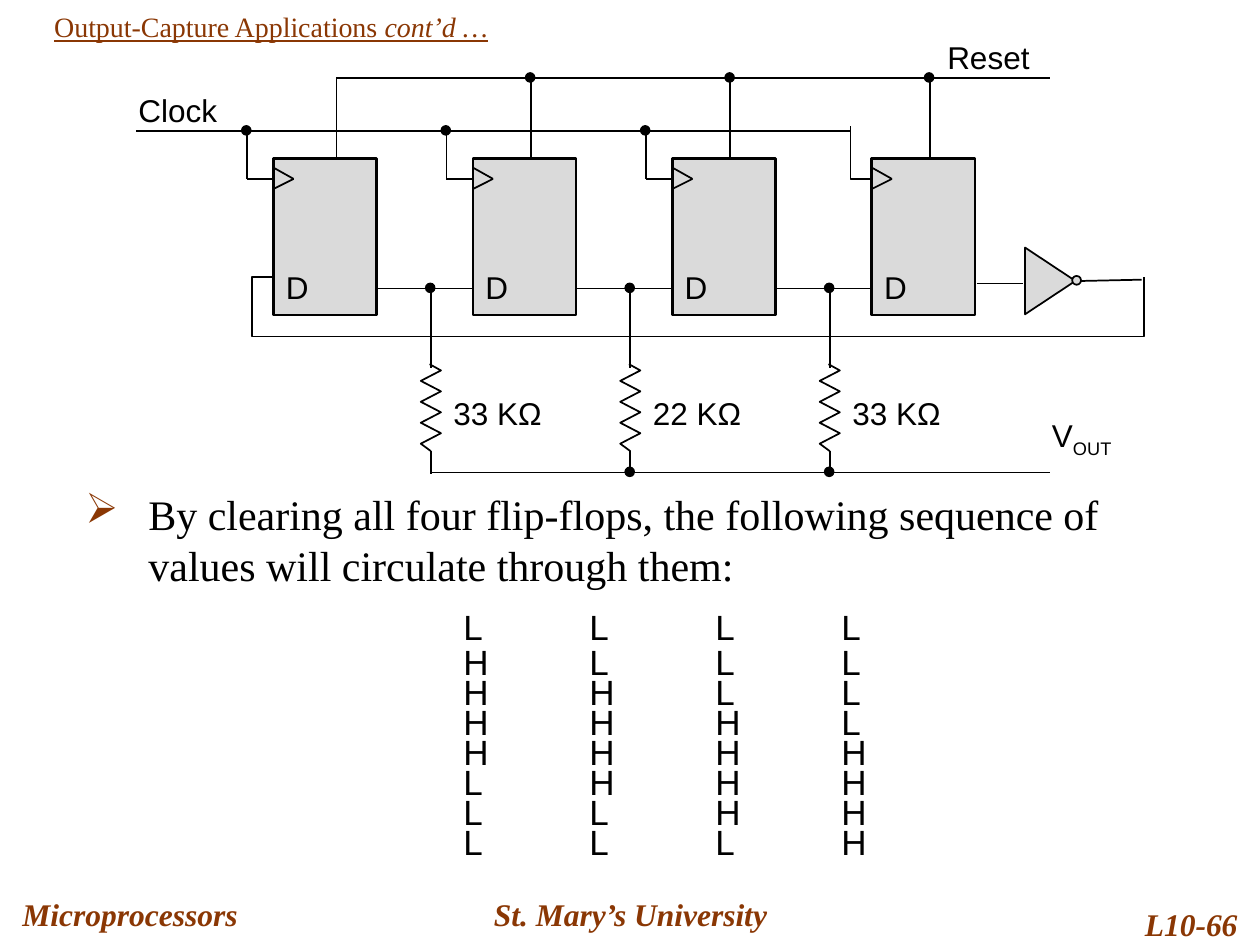
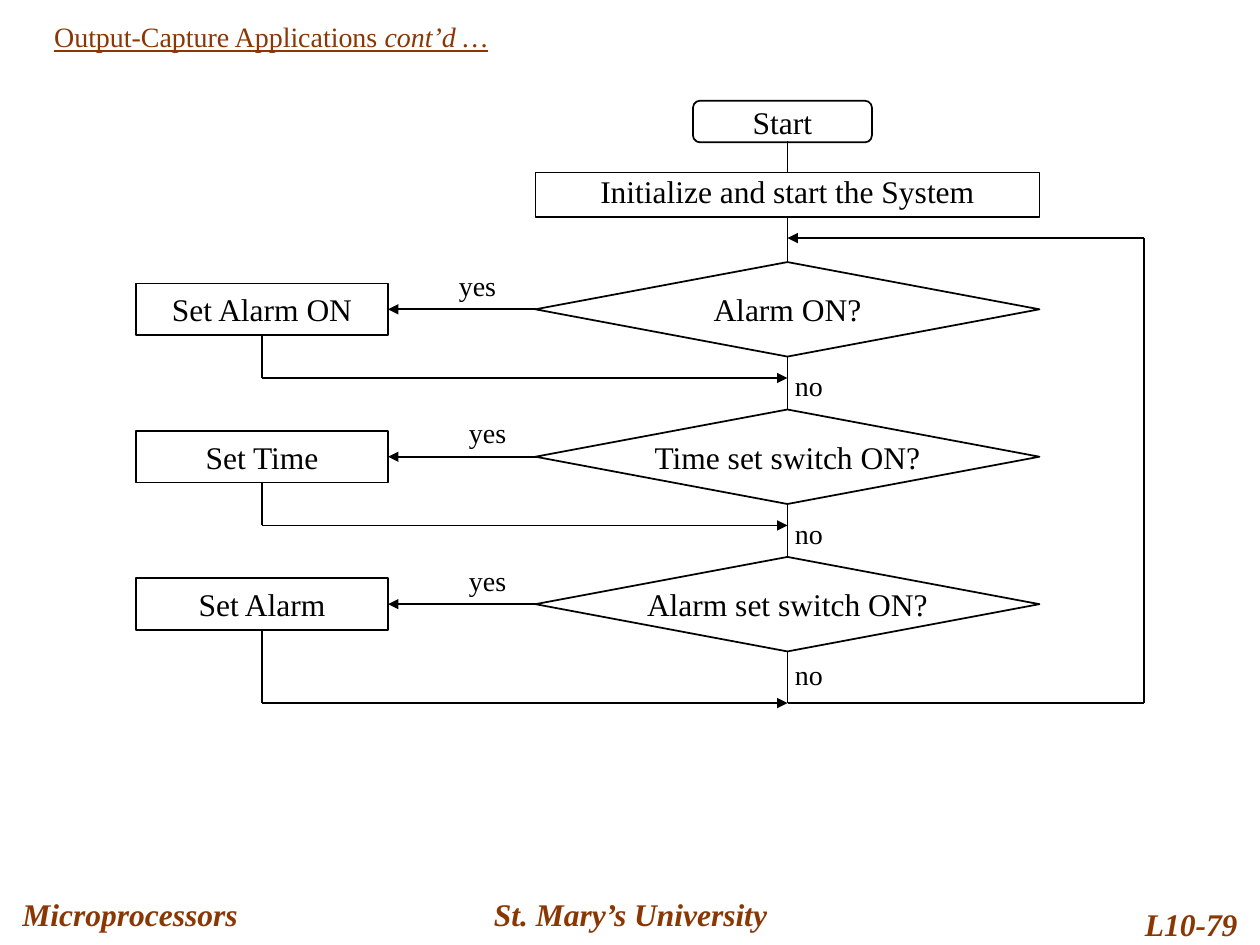
"""Builds two lecture slides: a ring-counter circuit and an alarm-clock flowchart."""
from dataclasses import dataclass

from lxml.etree import SubElement
from pptx import Presentation
from pptx.dml.color import RGBColor
from pptx.enum.shapes import MSO_CONNECTOR, MSO_SHAPE
from pptx.enum.text import MSO_ANCHOR, MSO_AUTO_SIZE, PP_ALIGN
from pptx.oxml.ns import qn
from pptx.util import Inches, Pt

TITLE = [("Output-Capture Applications ", {}), ("cont’d …", {"italic": True})]
FOOTERS = [
    ("Microprocessors", (0.08, 7, 2.42, 0.5), PP_ALIGN.LEFT),
    ("St. Mary’s University", (3.42, 7, 3.17, 0.5), PP_ALIGN.CENTER),
]
PAGE_BOX = (8.67, 7.08, 1.25, 0.5)

RESISTORS = ["33 KΩ", "22 KΩ", "33 KΩ"]
SIGNALS = [
    ("Reset", (7.42, 0.25, 1, 0.4)),
    ("Clock", (1, 0.67, 1, 0.4)),
    ([("V", {}), ("OUT", {"baseline": -25})], (8.25, 3.25, 0.75, 0.4)),
]
EXPLANATION = ("By clearing all four flip-flops, the following sequence of "
               "values will circulate through them:")
SEQUENCE = ["LLLL", "HLLL", "HHLL", "HHHL", "HHHH", "LHHH", "LLHH", "LLLH"]

STEPS = [
    {"ask": "Alarm ON?", "do": "Set Alarm ON", "yes_x": 3.5, "no_y": 2.88, "merge_y": 3},
    {"ask": "Time set switch ON?", "do": "Set Time", "yes_x": 3.58, "no_y": 4.05, "merge_y": 4.17},
    {"ask": "Alarm set switch ON?", "do": "Set Alarm", "yes_x": 3.58, "no_y": 5.17, "merge_y": 5.58},
]


@dataclass(frozen=True)
class Theme:
    """Colours, fonts and type sizes."""
    accent: str = "8A3704"
    ink: str = "000000"
    gate: str = "DADADA"
    serif: str = "Times New Roman"
    sans: str = "Arial"
    small: int = 16
    label: int = 18
    values: int = 20
    body: int = 24
    line: float = 1
    heavy: float = 1.5


T = Theme()


def rgb(color):
    """Turn a hex string into a colour."""
    return RGBColor.from_string(color)


def inches(values):
    """Turn a sequence of numbers into lengths."""
    return [Inches(v) for v in values]


def write(p, text, font=T.serif, size=T.label, color=T.ink, bold=False, italic=False,
          underline=False, align=PP_ALIGN.LEFT, spacing=None, before=0):
    """Fill a paragraph with a string or with (string, overrides) runs."""
    p.alignment, p.space_before = align, Pt(before)
    if spacing:
        p.line_spacing = spacing
    for part, extra in [(text, {})] if isinstance(text, str) else text:
        r = p.add_run()
        r.text = part
        f = r.font
        f.name, f.size, f.color.rgb = font, Pt(size), rgb(color)
        f.bold, f.italic, f.underline = bold, extra.get("italic", italic), underline
        if "baseline" in extra:
            r._r.get_or_add_rPr().set("baseline", str(extra["baseline"] * 1000))


def label(s, box, text, anchor=MSO_ANCHOR.TOP, **fmt):
    """Add a one-paragraph text box."""
    tf = s.shapes.add_textbox(*inches(box)).text_frame
    tf.word_wrap, tf.vertical_anchor = True, anchor
    write(tf.paragraphs[0], text, **fmt)


def outline(sp, fill=None, width=T.line):
    """Give a shape its fill and black outline."""
    sp.shadow.inherit = False
    if fill:
        sp.fill.solid()
        sp.fill.fore_color.rgb = rgb(fill)
    else:
        sp.fill.background()
    sp.line.color.rgb, sp.line.width = rgb(T.ink), Pt(width)
    return sp


def shape(s, kind, box, text="", fill=None, width=T.line, anchor=MSO_ANCHOR.MIDDLE, **fmt):
    """Add a preset shape, with centred text if given."""
    sp = outline(s.shapes.add_shape(kind, *inches(box)), fill, width)
    if text:
        tf = sp.text_frame
        tf.word_wrap, tf.vertical_anchor = False, anchor
        write(tf.paragraphs[0], text, align=PP_ALIGN.CENTER, **fmt)
    return sp


def dot(s, x, y, fill=T.ink):
    """Add a small circle centred on a point."""
    shape(s, MSO_SHAPE.OVAL, (x - 0.04, y - 0.04, 0.07, 0.07), fill=fill)


def path_of(s, points):
    """Add an open outline through points."""
    first, *rest = [tuple(inches(pt)) for pt in points]
    fb = s.shapes.build_freeform(*first)
    fb.add_line_segments(rest, close=False)
    outline(fb.convert_to_shape())


def line(s, a, b, begin=None, end=None, arrow=False):
    """Add a straight connector, joined to (shape, site) pairs if given."""
    c = s.shapes.add_connector(MSO_CONNECTOR.STRAIGHT, *inches((*a, *b)))
    if begin:
        c.begin_connect(*begin)
    if end:
        c.end_connect(*end)
    c.line.color.rgb, c.line.width = rgb(T.ink), Pt(T.line)
    if arrow:
        SubElement(c.line._get_or_add_ln(), qn("a:tailEnd"), type="triangle")
    SubElement(c._element.spPr, qn("a:effectLst"))


def new_slide(prs, page, title_y):
    """Add a slide with its title and footers."""
    s = prs.slides.add_slide(prs.slide_layouts[5])
    sp = s.shapes.title
    sp.left, sp.top, sp.width, sp.height = inches((0.33, title_y, 8.5, 0.42))
    tf = sp.text_frame
    tf.auto_size, tf.vertical_anchor = MSO_AUTO_SIZE.NONE, MSO_ANCHOR.MIDDLE
    write(tf.paragraphs[0], TITLE, size=T.small, color=T.accent, underline=True)
    for text, box, align in FOOTERS + [(page, PAGE_BOX, PP_ALIGN.RIGHT)]:
        label(s, box, text, anchor=MSO_ANCHOR.MIDDLE, color=T.accent, bold=True,
              italic=True, align=align)
    return s


def flip_flop(s, x):
    """Draw a D flip-flop with its clock mark."""
    shape(s, MSO_SHAPE.RECTANGLE, (x, 1.26, 0.82, 1.24), fill=T.gate, width=T.heavy)
    line(s, (x, 1.33), (x + 0.16, 1.42))
    line(s, (x + 0.16, 1.42), (x, 1.5))
    label(s, (x, 2.08, 0.42, 0.4), "D", font=T.sans)


def resistor(s, x, value):
    """Draw a resistor from the data line down to the output line."""
    line(s, (x, 2.29), (x, 2.92))
    zigzag = [(x + (0.08 if i % 2 == 0 else -0.08), 2.94 + 0.083 * i) for i in range(8)]
    path_of(s, [(x - 0.01, 2.89), *zigzag, (x, 3.58)])
    line(s, (x, 3.58), (x, 3.76))
    label(s, (x + 0.08, 3.08, 0.92, 0.4), value, font=T.sans)


def explanation(s):
    """Add the bulleted sentence and the tabbed value sequence."""
    tf = s.shapes.add_textbox(*inches((0.58, 3.83, 8.83, 3.27))).text_frame
    tf.word_wrap = True
    p = tf.paragraphs[0]
    pPr = p._p.get_or_add_pPr()
    pPr.set("marL", str(Inches(0.5)))
    pPr.set("indent", str(-Inches(0.5)))
    SubElement(SubElement(pPr, qn("a:buClr")), qn("a:srgbClr"), val=T.accent)
    SubElement(pPr, qn("a:buChar"), char="➢")
    write(p, EXPLANATION, size=T.body)
    gaps = {0: 16, 1: 3}
    for i, row in enumerate(SEQUENCE):
        p = tf.add_paragraph()
        tabs = SubElement(p._p.get_or_add_pPr(), qn("a:tabLst"))
        for stop in range(3, 7):
            SubElement(tabs, qn("a:tab"), pos=str(Inches(stop)), algn="l")
        write(p, "".join("\t" + v for v in row), font=T.sans, size=T.values,
              spacing=Pt(17.1), before=gaps.get(i, 0))


def circuit_slide(prs):
    """Build the ring-counter slide."""
    s = new_slide(prs, "L10-66", 0)
    pitch, reset_y, clock_y, data_y, out_y = 1.583, 0.62, 1.04, 2.29, 3.75
    ff_x = [2.17 + pitch * i for i in range(4)]
    for x in ff_x:
        flip_flop(s, x)
    line(s, (2.67, reset_y), (8.33, reset_y))
    line(s, (2.67, reset_y), (2.67, 1.25))
    line(s, (1.08, clock_y), (6.75, clock_y))
    path_of(s, [(6.92, 1.42), (6.75, 1.42), (6.75, 1)])
    line(s, (3.42, out_y), (8.33, out_y))
    for i, (x, value) in enumerate(zip(ff_x, RESISTORS)):
        clock_x, node_x, reset_x = x - 0.21, x + 1.25, x + pitch + 0.46
        line(s, (x, 1.42), (clock_x, 1.42))
        line(s, (clock_x, 1.42), (clock_x, clock_y))
        dot(s, clock_x, clock_y)
        line(s, (reset_x, 1.25), (reset_x, reset_y))
        dot(s, reset_x, reset_y)
        line(s, (x + 0.83, data_y), (x + pitch, data_y))
        resistor(s, node_x, value)
        dot(s, node_x, data_y)
        if i:
            dot(s, node_x, out_y)
    line(s, (7.75, 2.25), (8.12, 2.25))
    shape(s, MSO_SHAPE.ISOSCELES_TRIANGLE, (8.07, 2.03, 0.53, 0.4), fill=T.gate).rotation = 90
    dot(s, 8.55, 2.23, fill=T.gate)
    line(s, (9.06, 2.22), (8.58, 2.23))
    path_of(s, [(2.17, 2.2), (2, 2.2), (2, 2.67), (9.08, 2.67), (9.08, 2.2)])
    for text, box in SIGNALS:
        label(s, box, text, font=T.sans)
    explanation(s)


def flowchart_slide(prs):
    """Build the alarm-clock flowchart slide."""
    s = new_slide(prs, "L10-79", 0.08)
    mid_x, side_x, back_x, back_y = 6.25, 2.08, 9.08, 1.89
    shape(s, MSO_SHAPE.ROUNDED_RECTANGLE, (5.5, 0.8, 1.42, 0.33), "Start")
    prev = shape(s, MSO_SHAPE.RECTANGLE, (4.25, 1.37, 4, 0.35),
                 "Initialize and start the System", anchor=MSO_ANCHOR.TOP, spacing=0.8)
    line(s, (mid_x, 1.12), (mid_x, 1.37), end=(prev, 0))
    for i, step in enumerate(STEPS):
        y, merge = 2.08 + 1.17 * i, (mid_x, step["merge_y"])
        ask = shape(s, MSO_SHAPE.DIAMOND, (4.25, y, 4, 0.75), step["ask"])
        do = shape(s, MSO_SHAPE.RECTANGLE, (1.08, y + 0.17, 2, 0.41), step["do"])
        line(s, (mid_x, y - 0.4), (mid_x, y), begin=(prev, 2), end=(ask, 0))
        line(s, (4.25, y), (3.08, y), begin=(ask, 1), end=(do, 3), arrow=True)
        line(s, (side_x, y), (side_x, merge[1]), begin=(do, 2))
        line(s, (side_x, merge[1]), merge, arrow=True)
        label(s, (step["yes_x"], y, 0.58, 0.37), "yes", size=T.small, align=PP_ALIGN.CENTER)
        label(s, (6.17, step["no_y"], 0.5, 0.37), "no", size=T.small, align=PP_ALIGN.CENTER)
        prev = ask
    line(s, (mid_x, 5.17), merge, begin=(prev, 2))
    line(s, merge, (back_x, merge[1]))
    line(s, (back_x, merge[1]), (back_x, back_y))
    line(s, (back_x, back_y), (mid_x, back_y), arrow=True)


def main():
    """Build and save the presentation."""
    prs = Presentation()
    prs.slide_width, prs.slide_height = Inches(10), Inches(7.5)
    circuit_slide(prs)
    flowchart_slide(prs)
    prs.save("out.pptx")


if __name__ == "__main__":
    main()
